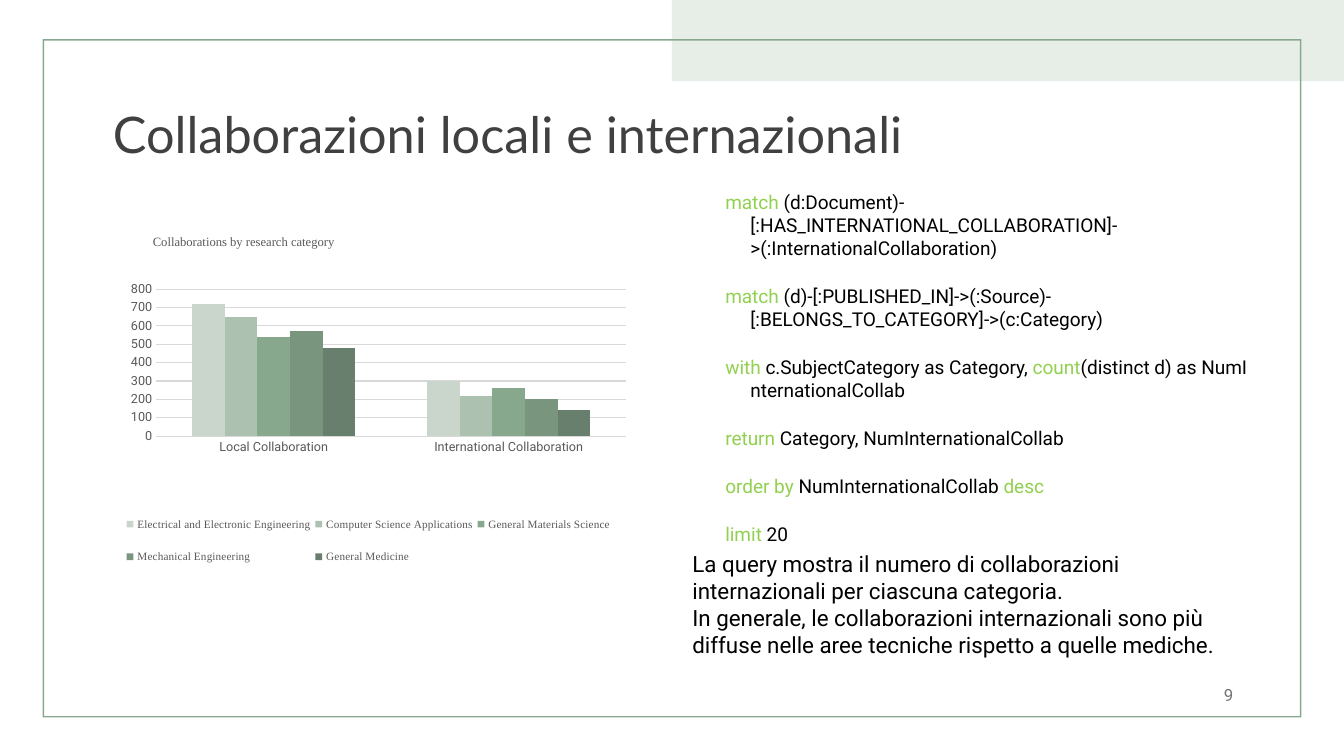
from pptx import Presentation
from pptx.chart.data import CategoryChartData
from pptx.dml.color import RGBColor
from pptx.enum.chart import XL_CHART_TYPE, XL_LEGEND_POSITION, XL_TICK_MARK
from pptx.enum.shapes import MSO_SHAPE
from pptx.enum.text import MSO_ANCHOR, PP_ALIGN
from pptx.oxml import parse_xml
from pptx.oxml.ns import nsdecls
from pptx.util import Pt

PALE = RGBColor(0xE7, 0xEE, 0xE8)
SAGE = RGBColor(0x88, 0xA8, 0x8E)
BLACK = RGBColor(0, 0, 0)
DARK = RGBColor(0x40, 0x40, 0x40)
GREY = RGBColor(0x59, 0x59, 0x59)
NUMBER_GREY = RGBColor(0x76, 0x71, 0x71)
GRID = RGBColor(0xD9, 0xD9, 0xD9)
KEYWORD = RGBColor(0x92, 0xD0, 0x50)

SERIES = [
    ("Electrical and Electronic Engineering", (720, 300), RGBColor(0xCA, 0xD6, 0xCC)),
    ("Computer Science Applications", (650, 220), RGBColor(0xAD, 0xC1, 0xB1)),
    ("General Materials Science", (540, 260), SAGE),
    ("Mechanical Engineering", (570, 200), RGBColor(0x79, 0x95, 0x7E)),
    ("General Medicine", (480, 140), RGBColor(0x67, 0x7F, 0x6C)),
]

# Each query line is a list of (text, colour) runs.
QUERY = [
    [("match", KEYWORD),
     (" (d:Document)-[:HAS_INTERNATIONAL_COLLABORATION]->(:InternationalCollaboration)", BLACK)],
    [("match", KEYWORD),
     (" (d)-[:PUBLISHED_IN]->(:Source)-[:BELONGS_TO_CATEGORY]->(c:Category)", BLACK)],
    [("with ", KEYWORD), ("c.SubjectCategory as Category, ", BLACK),
     ("count", KEYWORD), ("(distinct d) as NumInternationalCollab", BLACK)],
    [("return ", KEYWORD), ("Category, NumInternationalCollab", BLACK)],
    [("order by ", KEYWORD), ("NumInternationalCollab ", BLACK), ("desc", KEYWORD)],
    [("limit", KEYWORD), (" 20", BLACK)],
]
NO_BREAK_SPACE = chr(160)

COMMENT = [
    "La query mostra il numero di collaborazioni internazionali per ciascuna categoria.",
    "In generale, le collaborazioni internazionali sono più diffuse nelle aree tecniche "
    "rispetto a quelle mediche.",
]


def apply(obj, **values):
    for name, value in values.items():
        setattr(obj, name, value)


def style_font(font, name, size, color):
    apply(font, name=name, size=Pt(size), bold=False)
    font.color.rgb = color


def place_part(part, index, x, y, w=None, h=None, inner=False):
    """Give a chart part a manual layout in fractions of the chart."""
    for old in part.xpath("c:layout"):
        part.remove(old)
    target = '<c:layoutTarget val="inner"/>' if inner else ""
    modes = '<c:xMode val="edge"/><c:yMode val="edge"/>'
    sizes = "".join(f'<c:{k} val="{v}"/>' for k, v in zip("xywh", (x, y, w, h))
                    if v is not None)
    part.insert(index, parse_xml(
        f'<c:layout {nsdecls("c")}><c:manualLayout>{target}{modes}{sizes}'
        '</c:manualLayout></c:layout>'))


class SlideBuilder:
    font = "Roboto"
    title_font = "Lato"
    chart_font = "Times New Roman"

    def __init__(self, prs):
        self.s = prs.slides.add_slide(prs.slide_layouts[5])

    def shape(self, kind, box, color):
        sp = self.s.shapes.add_shape(kind, *map(Pt, box))
        sp.shadow.inherit = False
        sp.fill.solid()
        sp.fill.fore_color.rgb = color
        sp.line.fill.background()
        return sp

    def fill_text(self, tf, paragraphs, size, font, anchor=MSO_ANCHOR.TOP, **fmt):
        apply(tf, word_wrap=True, vertical_anchor=anchor)
        for i, runs in enumerate(paragraphs):
            p = tf.paragraphs[0] if i == 0 else tf.add_paragraph()
            apply(p, **fmt)
            for text, color in runs:
                r = p.add_run()
                r.text = text
                style_font(r.font, font, size, color)
        return tf

    def title(self, box, text):
        sp = self.s.shapes.title
        self.s.shapes._spTree.append(sp._element)
        apply(sp, **dict(zip(("left", "top", "width", "height"), map(Pt, box))))
        self.fill_text(sp.text_frame, [[(text, DARK)]], 36, self.title_font,
                       MSO_ANCHOR.MIDDLE, alignment=PP_ALIGN.LEFT, line_spacing=0.9)

    def text(self, box, paragraphs, size, **fmt):
        sp = self.s.shapes.add_textbox(*map(Pt, box))
        return self.fill_text(sp.text_frame, paragraphs, size, self.font, **fmt)

    def hanging_indent(self, tf, indent):
        for p in tf.paragraphs:
            pPr = p._p.get_or_add_pPr()
            pPr.set("marL", str(Pt(indent)))
            pPr.set("indent", str(-Pt(indent)))

    def column_chart(self, box, title, categories, series):
        data = CategoryChartData()
        data.categories = categories
        for name, values, _ in series:
            data.add_series(name, values)
        chart = self.s.shapes.add_chart(
            XL_CHART_TYPE.COLUMN_CLUSTERED, *map(Pt, box), data).chart
        style_font(chart.font, self.font, 10, BLACK)

        plot = chart.plots[0]
        apply(plot, gap_width=219, overlap=0, vary_by_categories=False)
        for ser, (_, _, color) in zip(plot.series, series):
            ser.format.fill.solid()
            ser.format.fill.fore_color.rgb = color

        for axis in (chart.category_axis, chart.value_axis):
            apply(axis, major_tick_mark=XL_TICK_MARK.NONE, minor_tick_mark=XL_TICK_MARK.NONE)
            style_font(axis.tick_labels.font, self.font, 9, GREY)
        apply(chart.value_axis, minimum_scale=0, maximum_scale=800, major_unit=100,
              has_major_gridlines=True)
        chart.value_axis.format.line.fill.background()
        for line in (chart.category_axis.format.line,
                     chart.value_axis.major_gridlines.format.line):
            line.width = Pt(0.75)
            line.color.rgb = GRID

        chart.has_title = True
        r = chart.chart_title.text_frame.paragraphs[0].add_run()
        r.text = title
        style_font(r.font, self.chart_font, 9, GREY)

        chart.has_legend = True
        apply(chart.legend, position=XL_LEGEND_POSITION.BOTTOM, include_in_layout=False)
        style_font(chart.legend.font, self.chart_font, 8, GREY)

        place_part(chart.chart_title._element, 1, 0.12, 0.01)
        place_part(chart.legend._element, 1, 0.07, 0.7, 0.87, 0.22)
        place_part(chart._chartSpace.chart.plotArea, 0, 0.13, 0.16, 0.83, 0.38, inner=True)


def main():
    prs = Presentation()
    apply(prs, slide_width=Pt(960), slide_height=Pt(540))
    slide = SlideBuilder(prs)

    slide.shape(MSO_SHAPE.RECTANGLE, (480, 0, 480, 58), PALE)
    frame = slide.shape(MSO_SHAPE.FRAME, (30.5, 28, 899, 484.5), SAGE)
    frame.adjustments[0] = 0.002
    slide.title((73.5, 38, 828, 120.5), "Collaborazioni locali e internazionali")

    query = [[(text.replace(" ", NO_BREAK_SPACE), color) for text, color in line]
             for line in QUERY]
    tf = slide.text((511, 132.5, 390.5, 276), query, 13.6,
                    space_before=Pt(10), space_after=Pt(8))
    slide.hanging_indent(tf, 18)

    slide.text((672, 481.5, 216, 29), [[("9", NUMBER_GREY)]], 12,
               anchor=MSO_ANCHOR.MIDDLE, alignment=PP_ALIGN.RIGHT)
    slide.column_chart((59, 162.5, 404.5, 276), "Collaborations by research category",
                       ("Local Collaboration", "International Collaboration"), SERIES)
    slide.text((487.5, 389.5, 414, 106.5), [[(line, BLACK)] for line in COMMENT], 16)

    prs.save("out.pptx")


if __name__ == "__main__":
    main()
